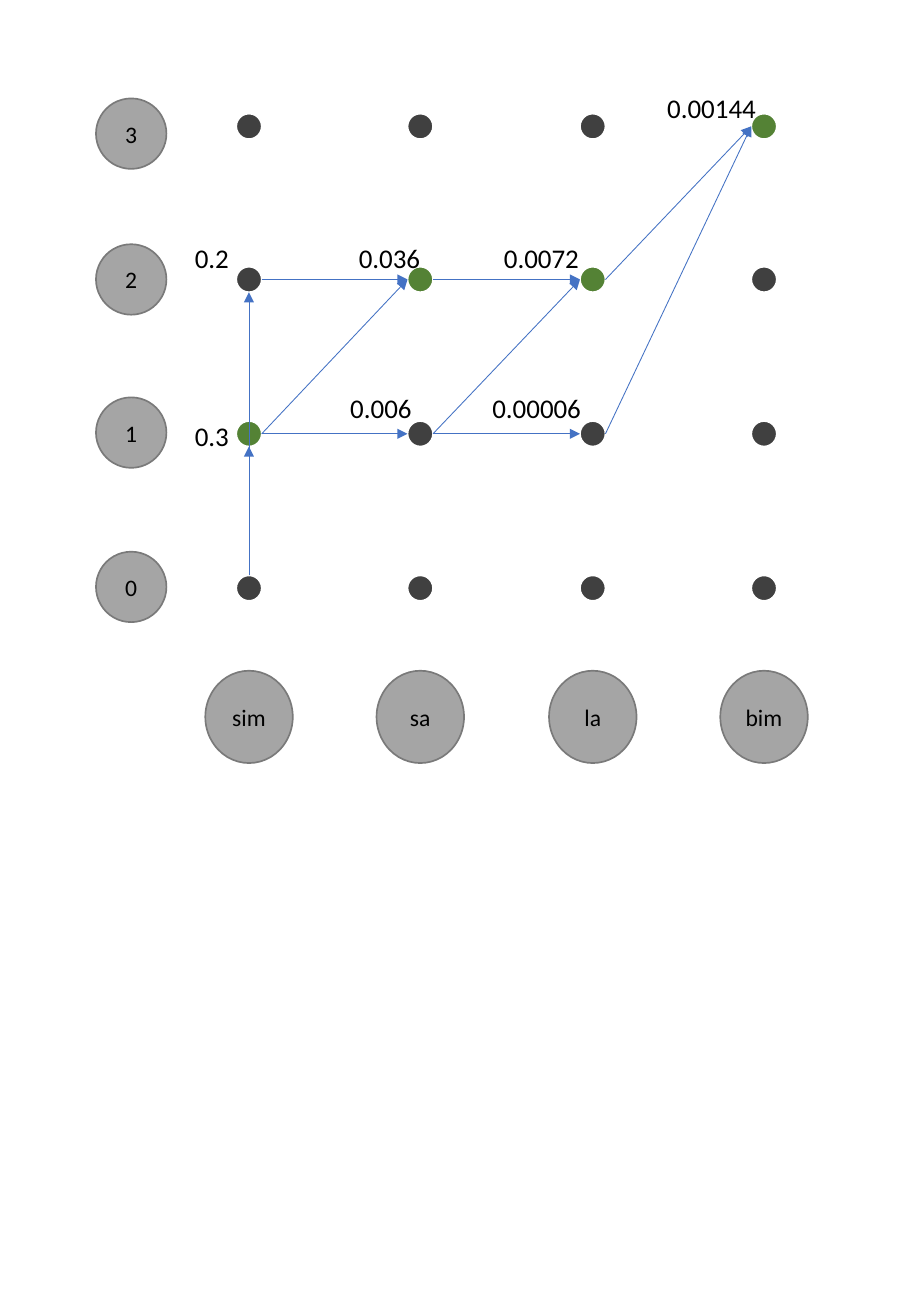
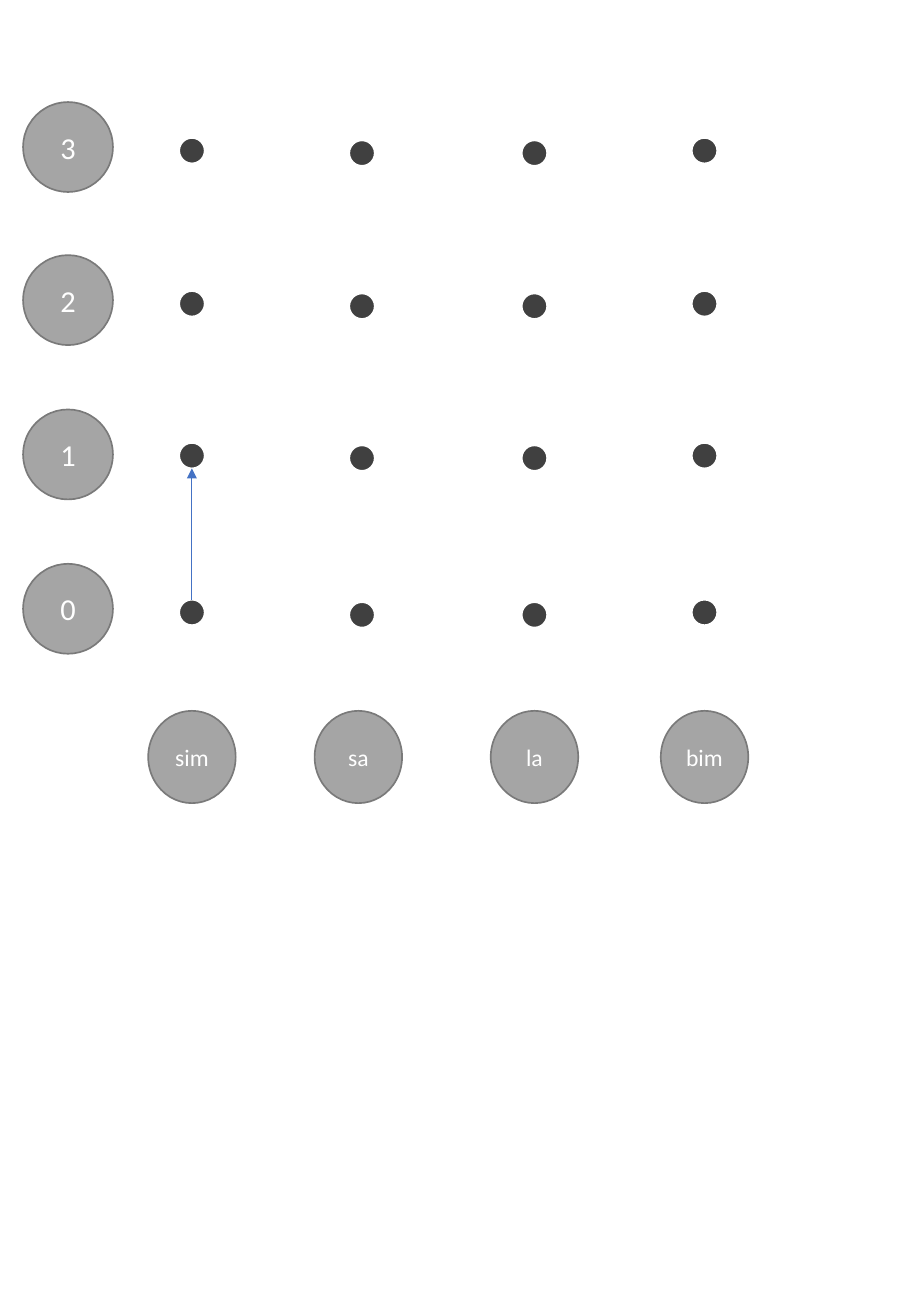
from dataclasses import dataclass, field
from itertools import product

from lxml import etree
from pptx import Presentation
from pptx.dml.color import RGBColor
from pptx.enum.shapes import MSO_CONNECTOR, MSO_SHAPE
from pptx.enum.text import MSO_ANCHOR, PP_ALIGN
from pptx.oxml.ns import qn
from pptx.util import Inches, Pt

SLIDE_WIDTH, SLIDE_HEIGHT = 7.5, 10.83
FONT = "Calibri"
GREY, GREY_EDGE = "A5A5A5", "7A7A7A"
DARK, GREEN, BLUE = "404040", "548235", "4472C4"
BLACK, WHITE = "000000", "FFFFFF"
WORDS = ["sim", "sa", "la", "bim"]
LEVELS = [0, 1, 2, 3]
DOT = 0.21
WORD_SIZE = (0.72, 0.76)
WORD_POINTS = 14


@dataclass
class Trellis:
    columns: list
    rows: list
    column_drops: list
    level_x: float
    level_rows: list
    level_diameter: float
    level_points: int
    word_columns: list
    word_row: float
    text_color: str
    arrows: list
    best: set = field(default_factory=set)
    scores: list = field(default_factory=list)

    def center(self, column, level):
        return self.columns[column], self.rows[level] + self.column_drops[column]


SCORED_COLUMNS = [2.05, 3.46, 4.88, 6.29]
EMPTY_COLUMNS = [1.58, 2.98, 4.4, 5.8]

TRELLISES = [
    Trellis(
        columns=SCORED_COLUMNS,
        rows=[4.84, 3.57, 2.3, 1.04],
        column_drops=[0, 0, 0, 0],
        level_x=1.08,
        level_rows=[4.83, 3.56, 2.3, 1.1],
        level_diameter=0.58,
        level_points=14,
        word_columns=SCORED_COLUMNS,
        word_row=5.9,
        text_color=BLACK,
        arrows=[
            ((0, 0), (0, 1)), ((0, 1), (1, 1)), ((0, 1), (1, 2)),
            ((1, 1), (2, 1)), ((1, 1), (2, 2)), ((0, 0), (0, 2)),
            ((0, 2), (1, 2)), ((1, 2), (2, 2)), ((2, 2), (3, 3)),
            ((2, 1), (3, 3)),
        ],
        best={(0, 1), (1, 2), (2, 2), (3, 3)},
        scores=[
            ("0.3", (0, 1), (-0.3, 0.02)),
            ("0.2", (0, 2), (-0.3, -0.18)),
            ("0.036", (1, 2), (-0.25, -0.18)),
            ("0.0072", (2, 2), (-0.42, -0.18)),
            ("0.00144", (3, 3), (-0.43, -0.15)),
            ("0.006", (1, 1), (-0.32, -0.21)),
            ("0.00006", (2, 1), (-0.46, -0.21)),
        ],
    ),
    Trellis(
        columns=EMPTY_COLUMNS,
        rows=[5.04, 3.75, 2.5, 1.24],
        column_drops=[0, 0.02, 0.02, 0],
        level_x=0.56,
        level_rows=[5.01, 3.74, 2.47, 1.21],
        level_diameter=0.74,
        level_points=18,
        word_columns=[1.58, 2.95, 4.4, 5.8],
        word_row=6.23,
        text_color=WHITE,
        arrows=[((0, 0), (0, 1))],
    ),
]


def rgb(color):
    return RGBColor.from_string(color)


def box(center, width, height):
    x, y = center
    return [Inches(length) for length in (x - width / 2, y - height / 2, width, height)]


def write(shape, text, points, color, alignment):
    shape.text_frame.text = text
    paragraph = shape.text_frame.paragraphs[0]
    paragraph.alignment = alignment
    font = paragraph.runs[0].font
    font.name = FONT
    font.size = Pt(points)
    font.color.rgb = rgb(color)


def add_circle(shapes, center, width, height, fill, edge):
    circle = shapes.add_shape(MSO_SHAPE.OVAL, *box(center, width, height))
    circle.shadow.inherit = False
    circle.fill.solid()
    circle.fill.fore_color.rgb = rgb(fill)
    circle.line.color.rgb = rgb(edge)
    circle.line.width = Pt(1)
    return circle


def add_label_circle(shapes, center, width, height, text, points, color):
    circle = add_circle(shapes, center, width, height, GREY, GREY_EDGE)
    frame = circle.text_frame
    frame.margin_left = frame.margin_right = 0
    frame.margin_top = frame.margin_bottom = 0
    frame.vertical_anchor = MSO_ANCHOR.MIDDLE
    write(circle, text, points, color, PP_ALIGN.CENTER)


def add_arrow(shapes, trellis, source, target):
    (x1, y1), (x2, y2) = trellis.center(*source), trellis.center(*target)
    radius = DOT / 2
    if source[0] == target[0]:
        y1, y2 = y1 - radius, y2 + radius
    else:
        x1, x2 = x1 + radius, x2 - radius
    ends = [Inches(length) for length in (x1, y1, x2, y2)]
    arrow = shapes.add_connector(MSO_CONNECTOR.STRAIGHT, *ends)
    arrow.line.color.rgb = rgb(BLUE)
    arrow.line.width = Pt(0.5)
    properties = arrow._element.spPr
    etree.SubElement(properties.find(qn("a:ln")), qn("a:tailEnd"), type="triangle")
    etree.SubElement(properties, qn("a:effectLst"))


def add_score(shapes, trellis, text, node, offset):
    x, y = trellis.center(*node)
    center = (x + offset[0], y + offset[1])
    score = shapes.add_textbox(*box(center, 0.16 + 0.11 * len(text), 0.37))
    score.text_frame.word_wrap = False
    write(score, text, 16, BLACK, PP_ALIGN.LEFT)


def draw_trellis(slide, trellis):
    shapes = slide.shapes.add_group_shape().shapes
    diameter = trellis.level_diameter
    for level in reversed(LEVELS):
        center = (trellis.level_x, trellis.level_rows[level])
        add_label_circle(shapes, center, diameter, diameter, str(level),
                         trellis.level_points, trellis.text_color)
    for word, x in zip(WORDS, trellis.word_columns):
        add_label_circle(shapes, (x, trellis.word_row), *WORD_SIZE, word,
                         WORD_POINTS, trellis.text_color)
    for level, column in product(LEVELS, range(len(WORDS))):
        fill = GREEN if (column, level) in trellis.best else DARK
        add_circle(shapes, trellis.center(column, level), DOT, DOT, fill, WHITE)
    for source, target in trellis.arrows:
        add_arrow(shapes, trellis, source, target)
    for text, node, offset in trellis.scores:
        add_score(shapes, trellis, text, node, offset)


presentation = Presentation()
presentation.slide_width = Inches(SLIDE_WIDTH)
presentation.slide_height = Inches(SLIDE_HEIGHT)
blank_layout = presentation.slide_layouts[6]
for trellis in TRELLISES:
    draw_trellis(presentation.slides.add_slide(blank_layout), trellis)
presentation.save("out.pptx")
